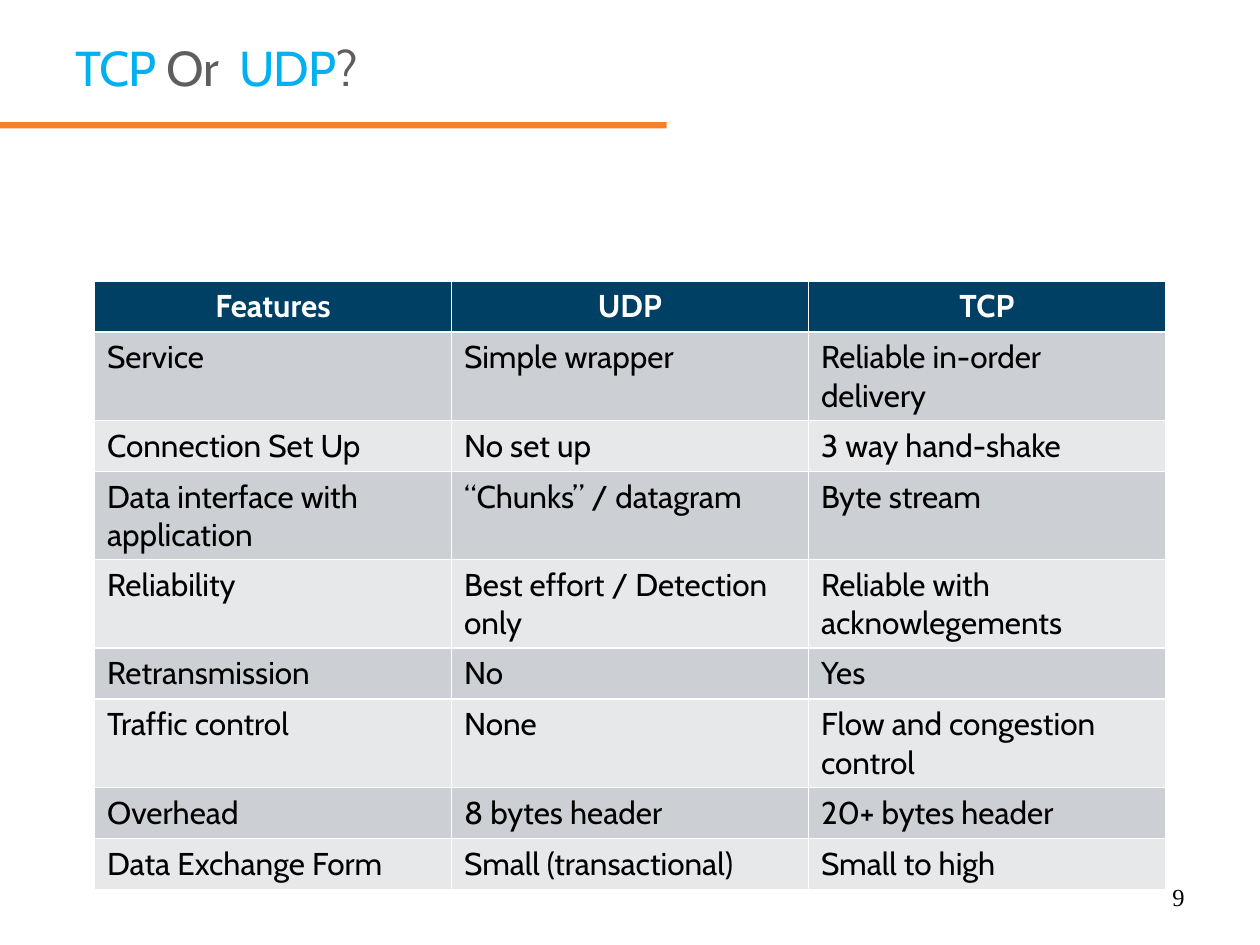
"""Build a slide that compares TCP and UDP in a table."""
import pptx
import pptx.dml.color
import pptx.enum.shapes
import pptx.enum.text
import pptx.util

Inches = pptx.util.Inches
ALIGN = pptx.enum.text.PP_ALIGN


def color(value):
    """Turn a hex string into a colour."""
    return pptx.dml.color.RGBColor.from_string(value)


def format_font(font, name, size, value, bold=False):
    """Set the typeface, size, colour and weight of a font."""
    font.name = name
    font.size = pptx.util.Pt(size)
    font.bold = bold
    font.color.rgb = color(value)


deck = pptx.Presentation()
deck.slide_width = Inches(10)
deck.slide_height = Inches(7.5)
page = deck.slides.add_slide(deck.slide_layouts[5])

rule = page.shapes.add_shape(
    pptx.enum.shapes.MSO_SHAPE.RECTANGLE, 0, Inches(0.97), Inches(5.29), Inches(0.05)
)
rule.shadow.inherit = False
rule.fill.solid()
rule.fill.fore_color.rgb = color("F4812A")
rule.line.fill.background()

title = page.shapes.title
title.left, title.top = Inches(0.5), Inches(0.3)
title.width, title.height = Inches(4.23), Inches(0.67)
title.text_frame.auto_size = pptx.enum.text.MSO_AUTO_SIZE.NONE
title.text_frame.vertical_anchor = pptx.enum.text.MSO_ANCHOR.TOP
para = title.text_frame.paragraphs[0]
para.alignment = ALIGN.LEFT
para.line_spacing = 0.9
for text, value in [
    ("TCP", "00B0F0"), (" Or  ", "5E5E5E"), ("UDP", "00B0F0"), ("?", "5E5E5E"),
]:
    span = para.add_run()
    span.text = text
    format_font(span.font, "Cabin", 28, value)
    span.font._element.set("spc", "-50")

number = page.shapes.add_textbox(Inches(7.17), Inches(6.95), Inches(2.33), Inches(0.4))
number.text_frame.word_wrap = True
number.text_frame.text = "9"
para = number.text_frame.paragraphs[0]
para.alignment = ALIGN.RIGHT
format_font(para.runs[0].font, "Times New Roman", 14, "000000")

rows = [
    ("Features", "UDP", "TCP"),
    ("Service", "Simple wrapper", "Reliable in-order delivery"),
    ("Connection Set Up", "No set up", "3 way hand-shake"),
    ("Data interface with application", "“Chunks” / datagram", "Byte stream"),
    ("Reliability", "Best effort / Detection only", "Reliable with acknowlegements"),
    ("Retransmission", "No", "Yes"),
    ("Traffic control", "None", "Flow and congestion control"),
    ("Overhead", "8 bytes header", "20+ bytes header"),
    ("Data Exchange Form", "Small (transactional)", "Small to high"),
]
table = page.shapes.add_table(
    len(rows), 3, Inches(0.75), Inches(2.23), Inches(8.5), Inches(3.65)
).table
for row_index, row in enumerate(rows):
    header = row_index == 0
    band = "CCCFD3" if row_index % 2 else "E7E8EA"
    for column_index, text in enumerate(row):
        cell = table.cell(row_index, column_index)
        cell.fill.solid()
        cell.fill.fore_color.rgb = color("004065" if header else band)
        cell.text_frame.text = text
        para = cell.text_frame.paragraphs[0]
        para.alignment = ALIGN.CENTER if header else ALIGN.LEFT
        format_font(
            para.runs[0].font, "Cabin", 18, "FFFFFF" if header else "000000", header
        )

deck.save("out.pptx")
